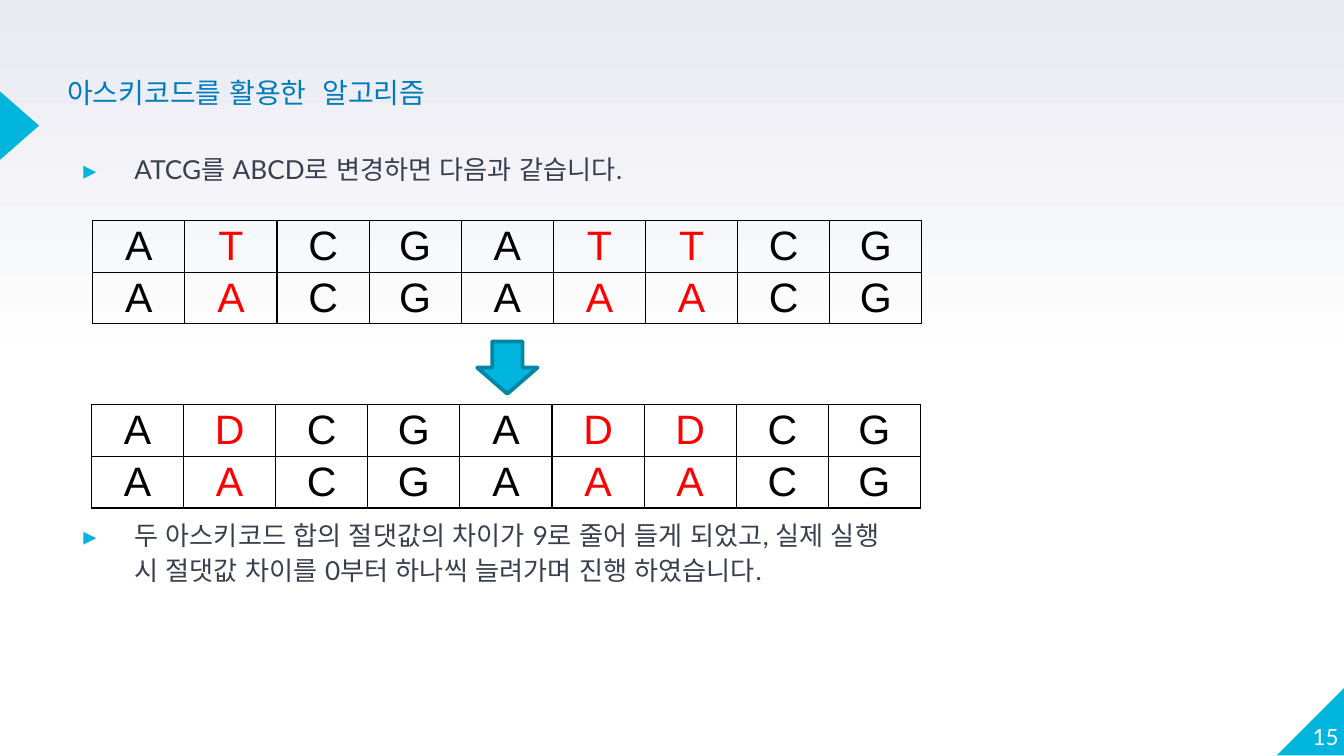
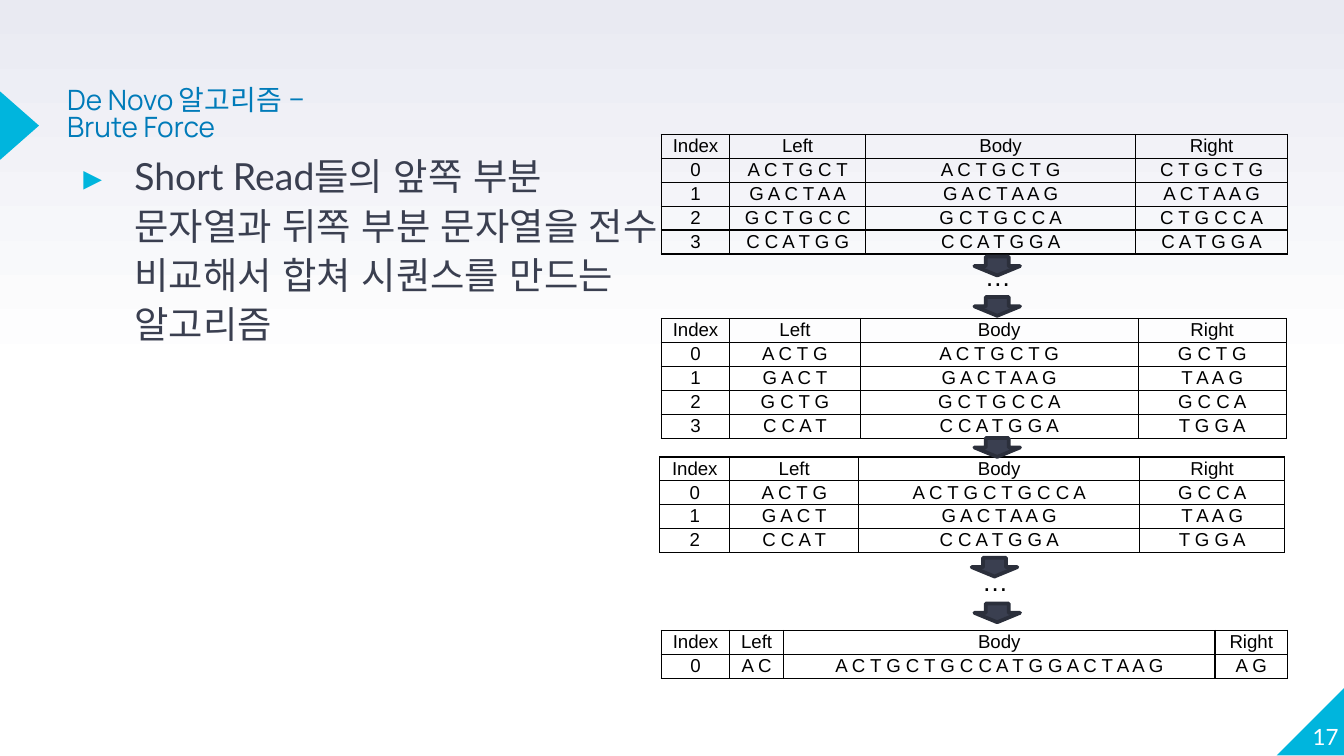
from dataclasses import dataclass

from lxml import etree
from pptx import Presentation
from pptx.dml.color import RGBColor
from pptx.enum.lang import MSO_LANGUAGE_ID
from pptx.enum.shapes import MSO_SHAPE
from pptx.enum.text import MSO_ANCHOR, MSO_AUTO_SIZE, PP_ALIGN
from pptx.oxml.ns import qn
from pptx.util import Inches, Pt


@dataclass(frozen=True)
class Theme:
    accent: str = "00B5DD"
    accent_line: str = "0086A3"
    title: str = "007BB9"
    dark: str = "3A3F50"
    dark_line: str = "2B2F3B"
    black: str = "000000"
    red: str = "FF0000"
    white: str = "FFFFFF"
    haze: str = "E9EAF2"
    title_font: str = "Manrope"
    body_font: str = "Lato"
    table_font: str = "Arial"
    title_size: float = 15
    number_size: float = 12
    list_size: float = 14
    large_list_size: float = 20
    letter_size: float = 22
    cell_size: float = 10
    dots_size: float = 14
    border: float = 0.75
    outline: float = 2


def rgb(color):
    return RGBColor.from_string(color)


def add_run(p, text, size, font, color):
    r = p.add_run()
    r.text = text
    r.font.size = Pt(size)
    r.font.name = font
    r.font.bold = False
    r.font.color.rgb = rgb(color)
    r.font.language_id = MSO_LANGUAGE_ID.KOREAN


def place(sp, box):
    sp.left, sp.top, sp.width, sp.height = map(Inches, box)


def add_color(parent, color):
    fill = etree.SubElement(parent, qn("a:solidFill"))
    etree.SubElement(fill, qn("a:srgbClr")).set("val", color)


class Deck:
    def __init__(self, theme):
        self.theme = theme
        self.prs = Presentation()
        self.prs.slide_width = Inches(10)
        self.prs.slide_height = Inches(10 * 9 / 16)
        self.s = None

    def style_master(self):
        master = self.prs.slide_master
        fill = master.background.fill
        fill.gradient()
        fill.gradient_angle = 90
        stops = ((0.5, self.theme.white), (1, self.theme.haze))
        for stop, (position, color) in zip(fill.gradient_stops, stops):
            stop.position = position
            stop.color.rgb = rgb(color)
        corner = self.shape(MSO_SHAPE.RIGHT_TRIANGLE, (9.5, 5.11, 0.51, 0.51), self.theme.accent)
        corner.element.spPr.xfrm.set("flipH", "1")
        marker = self.shape(MSO_SHAPE.ISOSCELES_TRIANGLE, (-0.11, 0.79, 0.51, 0.29), self.theme.accent)
        marker.rotation = 90
        for i, sp in enumerate((corner, marker)):
            sp.element.nvSpPr.cNvPr.set("id", str(20 + i))
            master.shapes.element.insert(2 + i, sp.element)

    def slide(self, title, title_box, number):
        first = self.s is None
        self.s = self.prs.slides.add_slide(self.prs.slide_layouts[1])
        if first:
            self.style_master()
        t = self.theme
        p = self.frame(self.s.shapes.title, title_box).paragraphs[0]
        p.alignment = PP_ALIGN.LEFT
        p.line_spacing = 0.8
        add_run(p, title, t.title_size, t.title_font, t.title)
        tf = self.frame(self.s.shapes.add_textbox(0, 0, 0, 0), (9.46, 5.07, 0.5, 0.51))
        tf.vertical_anchor = MSO_ANCHOR.BOTTOM
        tf.paragraphs[0].alignment = PP_ALIGN.RIGHT
        add_run(tf.paragraphs[0], number, t.number_size, t.body_font, t.white)

    def frame(self, sp, box):
        place(sp, box)
        tf = sp.text_frame
        tf.word_wrap = True
        tf.auto_size = MSO_AUTO_SIZE.NONE
        tf.vertical_anchor = MSO_ANCHOR.TOP
        tf.margin_left = tf.margin_top = tf.margin_right = tf.margin_bottom = 0
        return tf

    def bullets(self, box, items, size):
        t = self.theme
        tf = self.frame(self.s.placeholders[1], box)
        for i, (text, before) in enumerate(items):
            p = tf.add_paragraph() if i else tf.paragraphs[0]
            p.alignment = PP_ALIGN.LEFT
            p.line_spacing = 1.1
            p.space_before = Pt(before)
            pPr = p._p.get_or_add_pPr()
            pPr.set("marL", str(Inches(0.5)))
            pPr.set("indent", str(Inches(-0.38)))
            color = etree.SubElement(pPr, qn("a:buClr"))
            etree.SubElement(color, qn("a:srgbClr")).set("val", t.accent)
            etree.SubElement(pPr, qn("a:buFont")).set("typeface", t.body_font)
            etree.SubElement(pPr, qn("a:buChar")).set("char", "▸")
            add_run(p, text, size, t.body_font, t.dark)

    def shape(self, kind, box, fill, line=None):
        sp = self.s.shapes.add_shape(kind, *map(Inches, box))
        sp.shadow.inherit = False
        sp.fill.solid()
        sp.fill.fore_color.rgb = rgb(fill)
        if line:
            sp.line.color.rgb = rgb(line)
            sp.line.width = Pt(self.theme.outline)
        else:
            sp.line.fill.background()
        return sp

    def arrow(self, box, fill, line):
        self.shape(MSO_SHAPE.DOWN_ARROW, box, fill, line)

    def dots(self, left, top):
        t = self.theme
        sp = self.s.shapes.add_textbox(*map(Inches, (left, top, 0.41, 0.34)))
        tf = sp.text_frame
        tf.word_wrap = True
        tf.auto_size = MSO_AUTO_SIZE.SHAPE_TO_FIT_TEXT
        add_run(tf.paragraphs[0], "…", t.dots_size, t.table_font, t.black)

    def table(self, left, top, widths, height, rows, size, after=0, red_columns=()):
        t = self.theme
        box = (left, top, sum(widths), height)
        tbl = self.s.shapes.add_table(len(rows), len(widths), *map(Inches, box)).table
        tbl.first_row = tbl.horz_banding = False
        for column, width in zip(tbl.columns, widths):
            column.width = Inches(width)
        for i, row in enumerate(rows):
            for j, text in enumerate(row):
                cell = tbl.cell(i, j)
                self.style_cell(cell)
                p = cell.text_frame.paragraphs[0]
                p.alignment = PP_ALIGN.CENTER
                p.line_spacing = 1.07
                p.space_after = Pt(after)
                color = t.red if j in red_columns else t.black
                add_run(p, text, size, t.table_font, color)

    def style_cell(self, cell):
        cell.margin_left = cell.margin_right = Inches(0.07)
        cell.margin_top = cell.margin_bottom = 0
        tcPr = cell._tc.get_or_add_tcPr()
        for side in ("a:lnL", "a:lnR", "a:lnT", "a:lnB"):
            ln = etree.SubElement(tcPr, qn(side))
            ln.set("w", str(Pt(self.theme.border)))
            add_color(ln, self.theme.black)
        cell.fill.background()


def build_ascii_slide(deck):
    t = deck.theme
    deck.slide("아스키코드를 활용한  알고리즘", (0.5, 0.61, 3.26, 0.31), "15")
    deck.bullets((0.5, 1.12, 6.17, 3.95), (
        ("ATCG를 ABCD로 변경하면 다음과 같습니다.", 6),
        ("두 아스키코드 합의 절댓값의 차이가 9로 줄어 들게 되었고, 실제 실행 시 "
         "절댓값 차이를 0부터 하나씩 늘려가며 진행 하였습니다.", 177.5),
    ), t.list_size)
    for left, top, sequence in ((0.69, 1.64, "ATCGATTCG"), (0.68, 3.01, "ADCGADDCG")):
        deck.table(left, top, [6.17 / 9] * 9, 0.77, (sequence, "AACGAAACG"),
                   t.letter_size, red_columns=(1, 5, 6))
    deck.arrow((3.55, 2.54, 0.45, 0.39), t.accent, t.accent_line)


def read_rows(bodies, overlap):
    rows = [("Index", "Left", "Body", "Right")]
    for i, body in enumerate(bodies):
        parts = (body[:overlap], body, body[-overlap:])
        rows.append((str(i), *map(" ".join, parts)))
    return rows


def build_brute_force_slide(deck):
    t = deck.theme
    deck.slide("De Novo 알고리즘 – Brute Force", (0.5, 0.66, 1.84, 0.31), "17")
    deck.bullets((0.5, 1.11, 4.5, 1.89), (
        ("Short Read들의 앞쪽 부분 문자열과 뒤쪽 부분 문자열을 전수 비교해서 합쳐 "
         "시퀀스를 만드는 알고리즘", 6),
    ), t.large_list_size)
    reads = ("ACTGCTG", "GACTAAG", "GCTGCCA", "CCATGGA")
    merged = ("ACTGCTGCCA", "GACTAAG", "CCATGGA")
    steps = (
        (4.92, 1, (0.51, 1.01, 2.01, 1.13), 0.89, reads, 6),
        (4.91, 3.4, (0.52, 0.96, 2.09, 1.08), 0.71, merged, 4),
        (4.92, 2.37, (0.51, 0.97, 2.07, 1.1), 0.89, reads, 4),
        (4.92, 4.69, (0.51, 0.4, 3.21, 0.54), 0.36, ("ACTGCTGCCATGGACTAAG",), 2),
    )
    for left, top, widths, height, bodies, overlap in steps:
        deck.table(left, top, widths, height, read_rows(bodies, overlap), t.cell_size, after=8)
    for left, top in ((7.25, 3.26), (7.23, 4.15), (7.25, 4.49), (7.25, 1.91), (7.25, 2.21)):
        deck.arrow((left, top, 0.34, 0.14), t.dark, t.dark_line)
    deck.dots(7.23, 1.89)
    deck.dots(7.21, 4.16)


def main():
    deck = Deck(Theme())
    build_ascii_slide(deck)
    build_brute_force_slide(deck)
    deck.prs.save("out.pptx")


if __name__ == "__main__":
    main()
